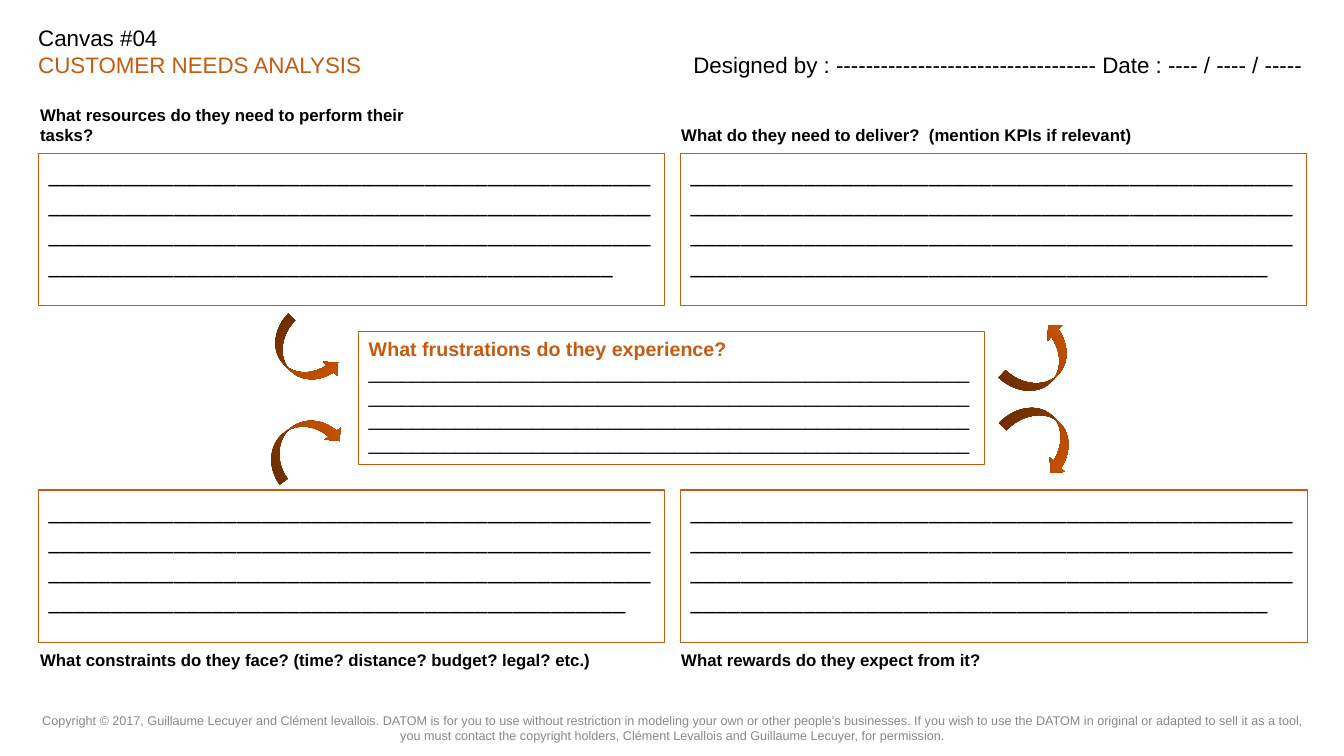
from copy import deepcopy

from pptx import Presentation
from pptx.dml.color import RGBColor as Rgb
from pptx.enum.shapes import MSO_SHAPE as Kind
from pptx.enum.text import MSO_ANCHOR as Anchor, PP_ALIGN as Align
from pptx.oxml.ns import qn
from pptx.util import Pt

HUES = {
    "ink": "000000",
    "rust": "C55A11",
    "gray": "888888",
    "dark": "783201",
    "mid": "AF4802",
    "light": "D25703",
}
LEFT, RIGHT = 27.4, 486
TOP, LOW = 109.4, 350
WIDE, HIGH = 447.1, 108.7


def hue(name):
    return Rgb.from_string(HUES[name])


def write(para, text, size=12, color="ink", bold=False, face="Arial", align=None):
    run = para.add_run()
    run.text = text
    font = run.font
    font.size, font.name, font.bold = Pt(size), face, bold
    font.color.rgb = hue(color)
    para.alignment = align


def frame(shape, pad, anchor=Anchor.TOP):
    body = shape.text_frame
    body.word_wrap = True
    body.vertical_anchor = anchor
    body.margin_left = body.margin_right = Pt(7.2)
    body.margin_top = body.margin_bottom = Pt(pad)
    return body


def label(slide, x, y, w, h, pad=7.2, anchor=Anchor.TOP):
    box = slide.shapes.add_textbox(Pt(x), Pt(y), Pt(w), Pt(h))
    return frame(box, pad, anchor).paragraphs[0]


def panel(slide, x, y, w=WIDE, h=HIGH):
    box = slide.shapes.add_shape(Kind.RECTANGLE, Pt(x), Pt(y), Pt(w), Pt(h))
    box.shadow.inherit = False
    box.fill.background()
    box.line.color.rgb = hue("rust")
    box.line.width = Pt(0.75)
    return frame(box, 3.6)


def arrow(slide, x, y, w, h, turn, flip=False):
    shape = slide.shapes.add_shape(
        Kind.CURVED_RIGHT_ARROW, Pt(x), Pt(y), Pt(w), Pt(h))
    shape.shadow.inherit = False
    shape.line.fill.background()
    shape.rotation = turn
    props = shape._element.spPr
    if flip:
        props.find(qn("a:xfrm")).set("flipH", "1")
    fill = shape.fill
    fill.gradient()
    fill.gradient_angle = 270
    stops = props.find(qn("a:gradFill")).find(qn("a:gsLst"))
    stops.insert(1, deepcopy(stops[0]))
    tones = zip(fill.gradient_stops, ("dark", "mid", "light"), (0, 0.5, 1))
    for stop, tone, place in tones:
        stop.color.rgb = hue(tone)
        stop.position = place


def header(slide):
    title = label(slide, 20.2, 10.1, 460, 31.7)
    write(title, "Canvas #04", size=16)
    title.add_line_break()
    write(title, "CUSTOMER NEEDS ANALYSIS", size=16, color="rust")
    sign = label(slide, 488.2, 10.1, 460, 31.7)
    sign.line_spacing = 2.0
    sign.space_after = Pt(6)
    write(sign, "Designed by : " + "-" * 35 + " Date : ---- / ---- / -----", size=16)


def main():
    deck = Presentation()
    deck.slide_width, deck.slide_height = Pt(960), Pt(540)
    slide = deck.slides.add_slide(deck.slide_layouts[6])

    note = label(slide, 22.3, 499.7, 915.8, 40.3, pad=3.6, anchor=Anchor.MIDDLE)
    write(note, "Copyright © 2017, Guillaume Lecuyer and Clément levallois. "
          "DATOM is for you to use without restriction in modeling your own or "
          "other people's businesses. If you wish to use the DATOM in original or "
          "adapted to sell it as a tool, you must contact the copyright holders, "
          "Clément Levallois and Guillaume Lecuyer, for permission.",
          size=9, color="gray", align=Align.CENTER)
    header(slide)

    asks = [
        ("What resources do they need to perform their tasks?",
         21.6, 67.7, 287.3, 49.7),
        ("What do they need to deliver?  (mention KPIs if relevant)",
         479.5, 82.1, 381.6, 35.3),
        ("What constraints do they face? (time? distance? budget? legal? etc.)",
         21.6, 457.2, 436.3, 49.7),
        ("What rewards do they expect from it?",
         479.5, 457.2, 436.3, 49.7),
    ]
    for text, *place in asks:
        write(label(slide, *place), text, bold=True)

    fields = [(LEFT, TOP, WIDE, 189), (RIGHT, TOP, WIDE, 190),
              (LEFT, LOW, WIDE, 190), (RIGHT, LOW, 447.8, 190)]
    for x, y, wide, count in fields:
        body = panel(slide, x, y, wide)
        write(body.paragraphs[0], "_" * count, size=18, face="Calibri",
              align=Align.JUSTIFY)

    core = panel(slide, 256.3, 236.9, h=95)
    write(core.paragraphs[0], "What frustrations do they experience?",
          size=14, color="rust", bold=True, align=Align.LEFT)
    write(core.add_paragraph(), "_" * 220, size=14, align=Align.LEFT)

    arrow(slide, 202.3, 225.4, 28.1, 56.9, 314.6)
    arrow(slide, 729.4, 229, 29.5, 59, 223.5)
    arrow(slide, 730.1, 282.2, 30.2, 59, 313.9, flip=True)
    arrow(slide, 201.6, 287.3, 28.1, 59.8, 233.8, flip=True)
    deck.save("out.pptx")


if __name__ == "__main__":
    main()
